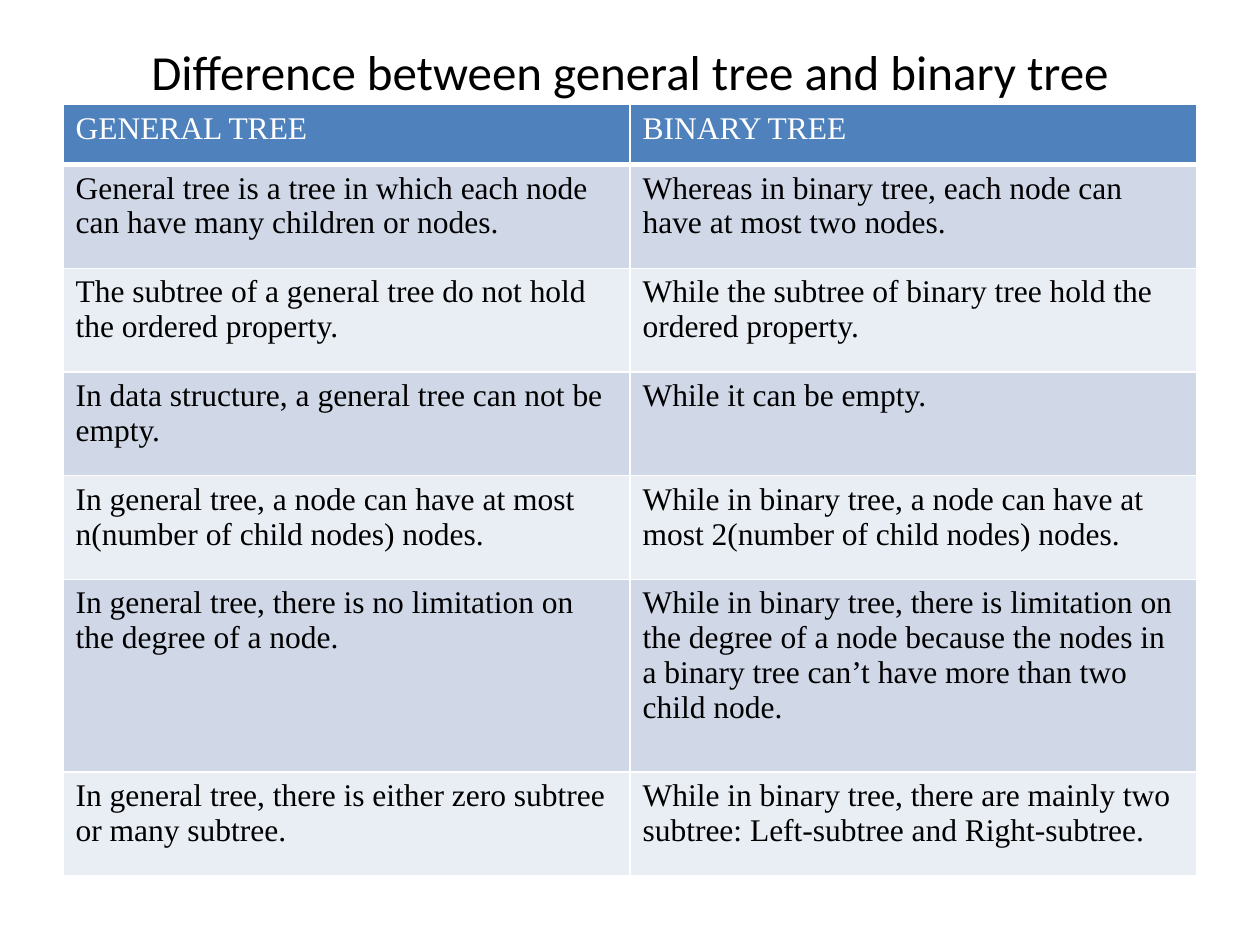
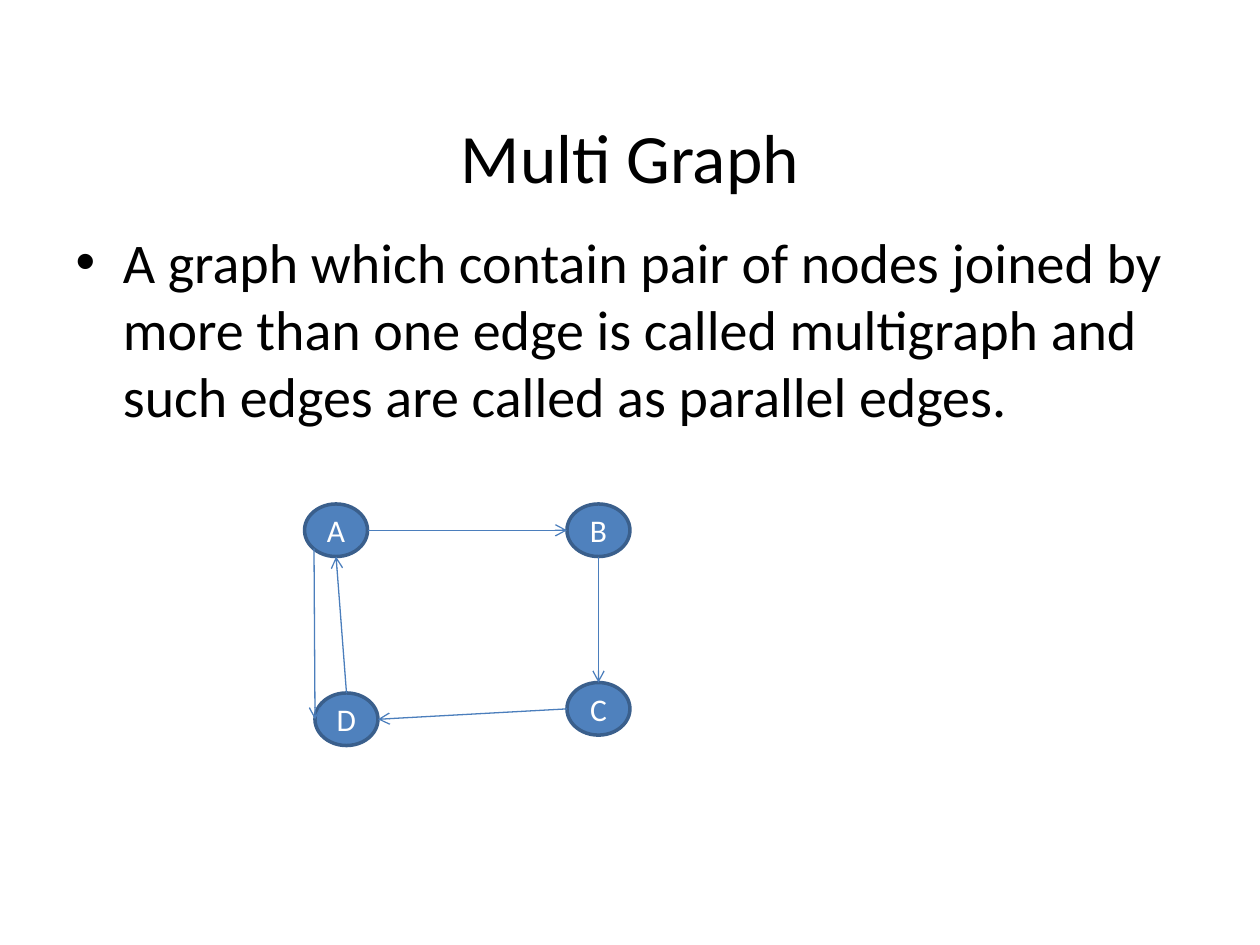
from lxml import etree
from pptx import Presentation, util as u
from pptx.dml.color import RGBColor
from pptx.enum import shapes, text
from pptx.oxml.ns import qn

COLORS = {
    "text": "000000", "light": "FFFFFF", "main": "4F81BD", "outline": "3A5F8C",
    "edge": "4B7EBC", "band_dark": "D0D8E8", "band_light": "E9EDF4",
}
MARGIN, WIDTH = 1.27, 22.86


def format_text(p, color, **values):
    for name, value in values.items():
        setattr(p.font, name, value)
    p.font.color.rgb = RGBColor.from_string(COLORS[color])


def place(sp, top, height, content):
    sp.left, sp.top, sp.width, sp.height = map(u.Cm, (MARGIN, top, WIDTH, height))
    tf = sp.text_frame
    tf.text = content
    tf.auto_size = text.MSO_AUTO_SIZE.NONE
    return tf.paragraphs[0]


prs = Presentation()
prs.slide_width, prs.slide_height = u.Cm(25.4), u.Cm(19.05)

# Slide 1: comparison table
s = prs.slides.add_slide(prs.slide_layouts[5])
p = place(s.shapes.title, 0.76, 1.35, "Difference between general tree and binary tree")
format_text(p, "text", name="Calibri", size=u.Pt(28))

rows = [
    ("GENERAL TREE", "BINARY TREE"),
    ("General tree is a tree in which each node can have many children or nodes.",
     "Whereas in binary tree, each node can have at most two nodes."),
    ("The subtree of a general tree do not hold the ordered property.",
     "While the subtree of binary tree hold the ordered property."),
    ("In data structure, a general tree can not be empty.",
     "While it can be empty."),
    ("In general tree, a node can have at most n(number of child nodes) nodes.",
     "While in binary tree, a node can have at most 2(number of child nodes) nodes."),
    ("In general tree, there is no limitation on the degree of a node.",
     "While in binary tree, there is limitation on the degree of a node because "
     "the nodes in a binary tree can’t have more than two child node."),
    ("In general tree, there is either zero subtree or many subtree.",
     "While in binary tree, there are mainly two subtree: Left-subtree and Right-subtree."),
]
heights = [1.21, 2.09, 2.09, 2.09, 2.09, 3.88, 2.09]
table = s.shapes.add_table(len(rows), 2, u.Cm(MARGIN), u.Cm(2.11),
                           u.Cm(WIDTH), u.Cm(sum(heights))).table
for col in table.columns:
    col.width = u.Cm(WIDTH / 2)
for i, row in enumerate(rows):
    table.rows[i].height = u.Cm(heights[i])
    fill = "main" if i == 0 else "band_dark" if i % 2 else "band_light"
    for j, content in enumerate(row):
        cell = table.cell(i, j)
        cell.text = content
        cell.fill.solid()
        cell.fill.fore_color.rgb = RGBColor.from_string(COLORS[fill])
        format_text(cell.text_frame.paragraphs[0], "text" if i else "light",
                    name="Times New Roman", size=u.Pt(18), bold=False)
        # White borders, thicker under the header
        tc_pr = cell._tc.get_or_add_tcPr()
        for k, side in enumerate(("lnL", "lnR", "lnT", "lnB")):
            thick = (i, side) in ((0, "lnB"), (1, "lnT"))
            ln = etree.Element(qn("a:" + side), w=str(u.Pt(3 if thick else 1)))
            solid = etree.SubElement(ln, qn("a:solidFill"))
            etree.SubElement(solid, qn("a:srgbClr"), val=COLORS["light"])
            tc_pr.insert(k, ln)

# Slide 2: multigraph
s = prs.slides.add_slide(prs.slide_layouts[1])
p = place(s.shapes.title, 2.34, 1.6, "Multi Graph")
format_text(p, "text", name="Calibri", size=u.Pt(39.6))
p = place(s.placeholders[1], 4.45, 12.57,
          "A graph which contain pair of nodes joined by more than one edge is called "
          "multigraph and such edges are called as parallel edges.")
p.space_before = u.Pt(0)
format_text(p, "text", name="Calibri", size=u.Pt(32))

# Nodes
node_w, node_h = 1.27, 1.06
nodes = {"A": (6.14, 10.16), "B": (11.43, 10.16), "D": (6.35, 13.97), "C": (11.43, 13.76)}
for label, (x, y) in nodes.items():
    sp = s.shapes.add_shape(shapes.MSO_SHAPE.OVAL, u.Cm(x), u.Cm(y), u.Cm(node_w), u.Cm(node_h))
    sp.shadow.inherit = False
    sp.fill.solid()
    sp.fill.fore_color.rgb = RGBColor.from_string(COLORS["main"])
    sp.line.color.rgb = RGBColor.from_string(COLORS["outline"])
    sp.line.width = u.Pt(2)
    tf = sp.text_frame
    tf.text = label
    tf.vertical_anchor = text.MSO_ANCHOR.MIDDLE
    p = tf.paragraphs[0]
    p.alignment = text.PP_ALIGN.CENTER
    format_text(p, "light", name="Calibri", size=u.Pt(18))

# Directed edges between points on the node outlines
sides = {"top": (0.5, 0), "bottom": (0.5, 1), "left": (0, 0.5), "right": (1, 0.5),
         "bottom_left": (0.15, 0.85)}
edges = [("A", "right", "B", "left"), ("B", "bottom", "C", "top"), ("D", "top", "A", "bottom"),
         ("C", "left", "D", "right"), ("A", "bottom_left", "D", "left")]
for start, start_side, end, end_side in edges:
    ends = []
    for node, side in ((start, start_side), (end, end_side)):
        (x, y), (fx, fy) = nodes[node], sides[side]
        ends += [u.Cm(x + fx * node_w), u.Cm(y + fy * node_h)]
    edge = s.shapes.add_connector(shapes.MSO_CONNECTOR.STRAIGHT, *ends)
    edge.line.color.rgb = RGBColor.from_string(COLORS["edge"])
    edge.line.width = u.Pt(0.75)
    etree.SubElement(edge.line._get_or_add_ln(), qn("a:tailEnd"), type="arrow")
    etree.SubElement(edge._element.spPr, qn("a:effectLst"))

prs.save("out.pptx")
